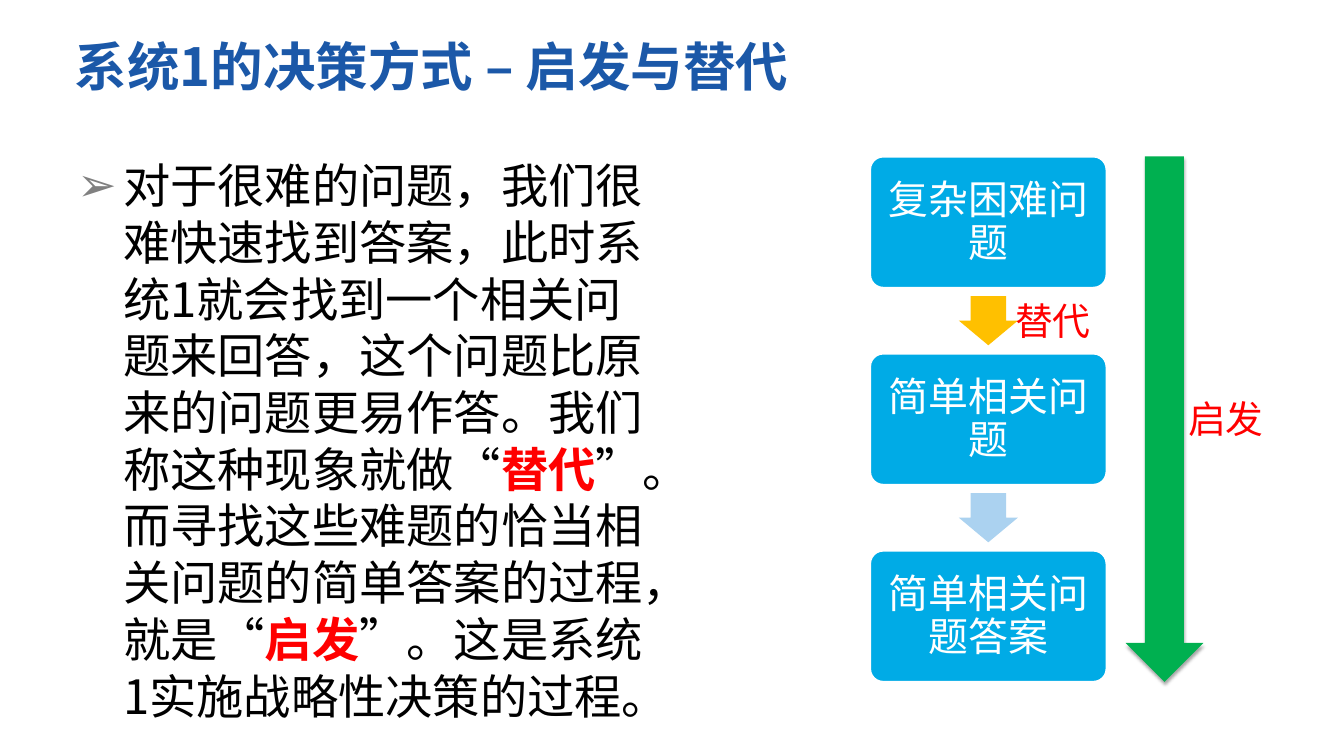
from lxml import etree
from pptx import Presentation
from pptx.dml.color import RGBColor
from pptx.enum.lang import MSO_LANGUAGE_ID
from pptx.enum.shapes import MSO_SHAPE
from pptx.enum.text import MSO_ANCHOR, MSO_AUTO_SIZE, PP_ALIGN
from pptx.oxml import parse_xml
from pptx.oxml.ns import nsdecls, qn
from pptx.util import Inches, Pt

ROUNDED, DOWN_ARROW = MSO_SHAPE.ROUNDED_RECTANGLE, MSO_SHAPE.DOWN_ARROW
TOP, MIDDLE = MSO_ANCHOR.TOP, MSO_ANCHOR.MIDDLE
LEFT, CENTER = PP_ALIGN.LEFT, PP_ALIGN.CENTER
CHINESE = MSO_LANGUAGE_ID.SIMPLIFIED_CHINESE
FONT = "Noto Sans CJK SC"
COLORS = {
    "title": "1B58A8", "text": "000000", "accent": "FF0000", "box": "00ABE6",
    "white": "FFFFFF", "substitute": "FFC000", "answer": "ABD2F0",
    "heuristic": "00B050", "bullet": "808080",
}


def write(paragraph, runs, size, align=LEFT, leading=1.2):
    """Add (text, color, bold) runs with a line pitch of leading times size."""
    paragraph.alignment = align
    paragraph.line_spacing = Pt(round(size * leading))
    paragraph.space_before = Pt(0)
    for text, color, bold in runs:
        run = paragraph.add_run()
        run.text = text
        font = run.font
        font.name, font.size, font.bold = FONT, Pt(size), bold
        font.language_id = CHINESE
        font.color.rgb = RGBColor.from_string(COLORS[color])
        etree.SubElement(font._element, qn("a:ea"), typeface=FONT)


def add_block(kind, left, top, width, height, color):
    block = slide.shapes.add_shape(kind, left, top, width, height)
    block.shadow.inherit = False
    block.fill.solid()
    block.fill.fore_color.rgb = RGBColor.from_string(COLORS[color])
    block.line.fill.background()
    return block


prs = Presentation()
prs.slide_width, prs.slide_height = Inches(17.78), Inches(10)
W, H = prs.slide_width, prs.slide_height
slide = prs.slides.add_slide(prs.slide_layouts[1])

margin = int(W * 0.05)
content_top, content_height = int(H * 0.207), int(H * 0.695)

# Title and explanation
title, body = slide.placeholders
title.left, title.top = margin, int(H * 0.04)
title.width, title.height = W - 2 * margin, content_top - title.top
body.left, body.top = margin, content_top
body.width, body.height = Inches(7.86), content_height
for holder in (title, body):
    frame = holder.text_frame
    frame.auto_size = MSO_AUTO_SIZE.NONE
    frame.word_wrap = True
    frame.vertical_anchor = TOP
write(title.text_frame.paragraphs[0],
      [("系统1的决策方式 – 启发与替代", "title", True)], 50)

frame = body.text_frame
frame.margin_left = frame.margin_top = frame.margin_right = frame.margin_bottom = 0
explanation = frame.paragraphs[0]
write(explanation, [
    ("对于很难的问题，我们很难快速找到答案，此时系统1就会找到一个相关问题来回答，"
     "这个问题比原来的问题更易作答。我们称这种现象就做“", "text", False),
    ("替代", "accent", True),
    ("”。而寻找这些难题的恰当相关问题的简单答案的过程，就是“", "text", False),
    ("启发", "accent", True),
    ("”。这是系统1实施战略性决策的过程。", "text", False),
], 45)
properties = explanation._p.get_or_add_pPr()
properties.set("marL", str(Inches(0.74)))
properties.set("indent", str(Inches(-0.61)))
bullet_color = etree.SubElement(properties, qn("a:buClr"))
etree.SubElement(bullet_color, qn("a:srgbClr"), val=COLORS["bullet"])
etree.SubElement(properties, qn("a:buFont"), typeface="Arial")
etree.SubElement(properties, qn("a:buChar"), char="➢")

# Three steps, evenly spread over the content height
steps = ["复杂困难问题", "简单相关问题", "简单相关问题答案"]
step_arrows = ["substitute", "answer"]
step_left, step_width, step_height = Inches(11.51), Inches(3.13), content_height // 4
pitch = (content_height - step_height) // (len(steps) - 1)
gap = pitch - step_height
arrow_width, arrow_height = Inches(0.78), Inches(0.65)

for i, step in enumerate(steps):
    box = add_block(ROUNDED, step_left, content_top + i * pitch,
                    step_width, step_height, "box")
    box.adjustments[0] = 0.1
    box.line.color.rgb = RGBColor.from_string(COLORS["white"])
    box.line.width = Pt(2)
    frame = box.text_frame
    frame.word_wrap = True
    frame.vertical_anchor = MIDDLE
    frame.margin_left = frame.margin_right = Inches(0.16)
    frame.margin_top = frame.margin_bottom = Inches(0.16)
    write(frame.paragraphs[0], [(step, "white", False)], 38, CENTER, 1.08)

for i, color in enumerate(step_arrows):
    arrow = add_block(DOWN_ARROW, step_left + (step_width - arrow_width) // 2,
                      content_top + i * pitch + step_height + (gap - arrow_height) // 2,
                      arrow_width, arrow_height, color)
    arrow.adjustments[0], arrow.adjustments[1] = 0.6, 0.5

# Overall process
process = add_block(DOWN_ARROW, Inches(14.89), content_top,
                    Inches(1.03), content_height, "heuristic")
effects = process._element.spPr.find(qn("a:effectLst"))
effects.append(parse_xml(
    f'<a:outerShdw {nsdecls("a")} blurRad="{Pt(3.1)}" dist="{Pt(1.8)}" dir="5400000" '
    'rotWithShape="0"><a:srgbClr val="000000"><a:alpha val="35000"/></a:srgbClr>'
    '</a:outerShdw>'))

for label, left, top in [("替代", 13.33, 3.89), ("启发", 15.62, 5.19)]:
    caption = slide.shapes.add_textbox(Inches(left), Inches(top), W // 10, Inches(0.71))
    caption.text_frame.word_wrap = True
    caption.text_frame.auto_size = MSO_AUTO_SIZE.SHAPE_TO_FIT_TEXT
    write(caption.text_frame.paragraphs[0], [(label, "accent", False)], 36)

prs.save("out.pptx")
